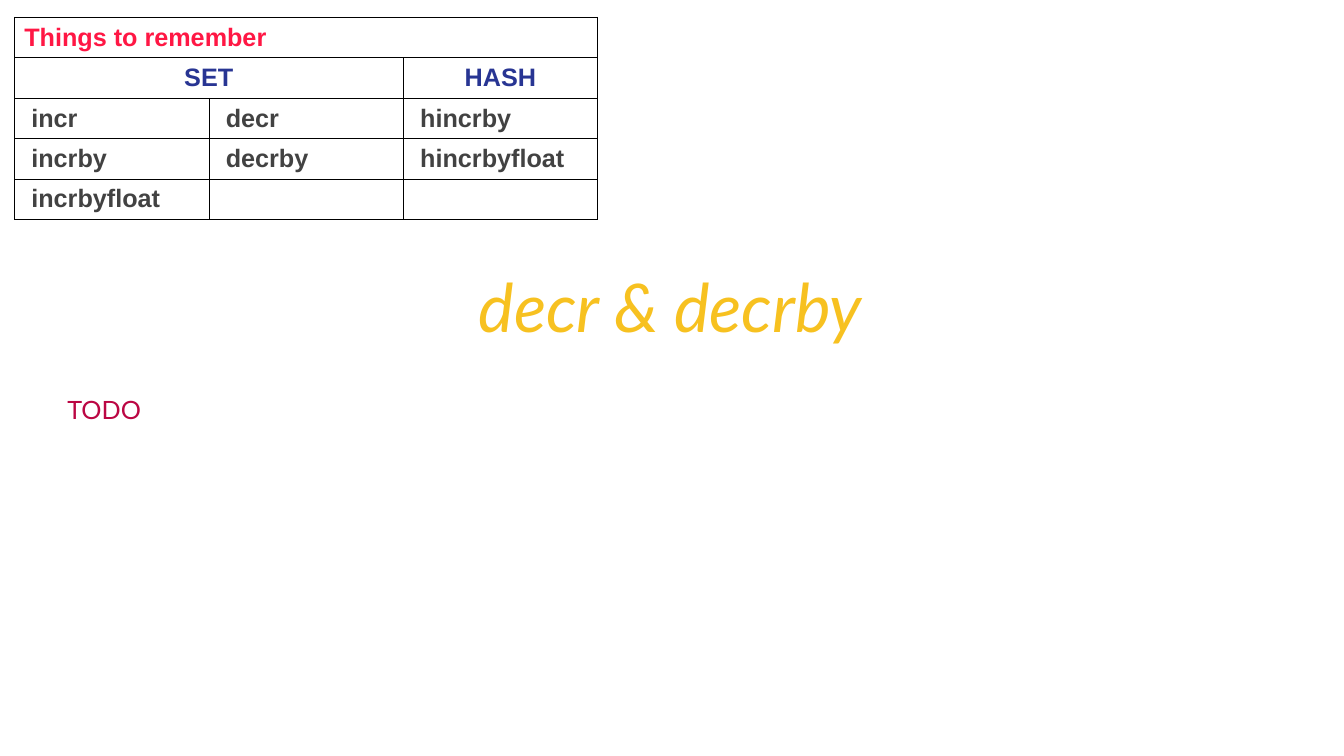
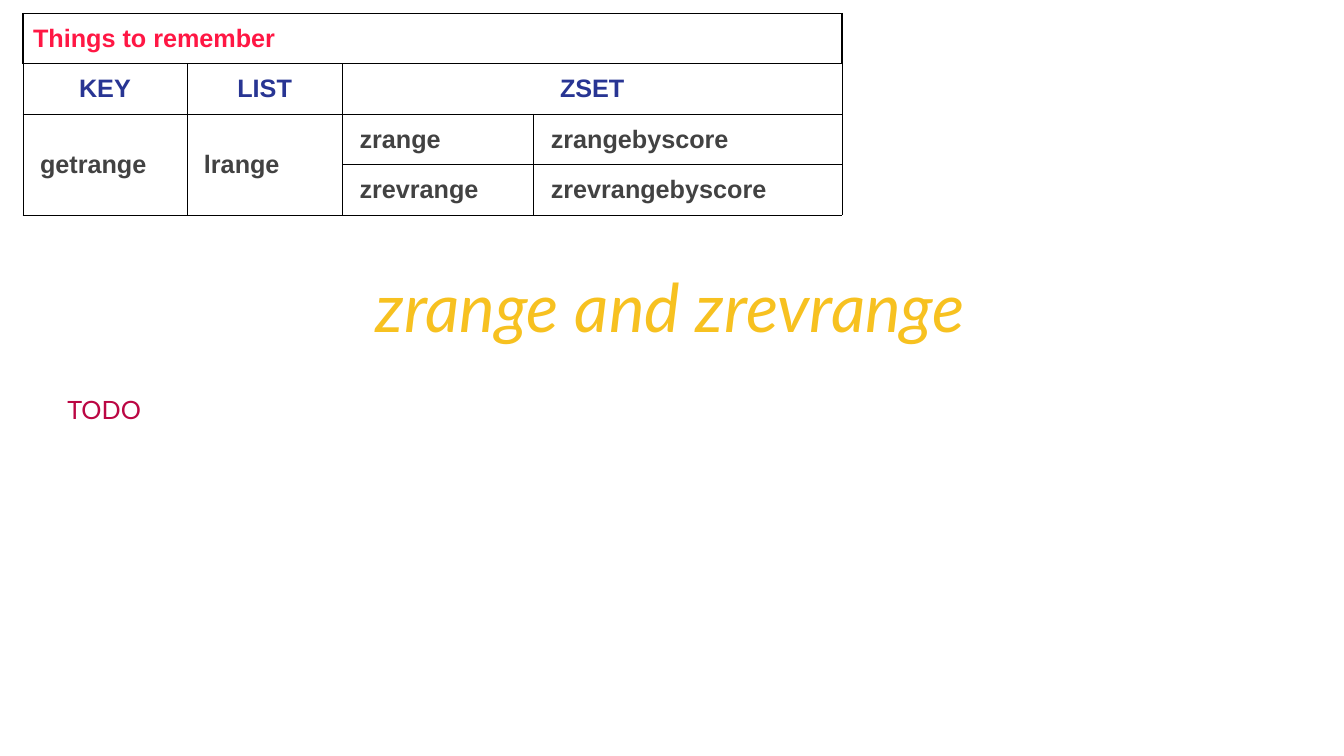
from lxml import etree
from pptx import Presentation
from pptx import util as u
from pptx.dml.color import RGBColor
from pptx.enum import text
from pptx.oxml import ns

GOLD = RGBColor(0xF7, 0xC1, 0x20)
CRIMSON = RGBColor(0xBB, 0x06, 0x43)
RED = RGBColor(0xFF, 0x17, 0x44)
NAVY = RGBColor(0x28, 0x35, 0x93)
GREY = RGBColor(0x42, 0x42, 0x42)
BLACK = RGBColor(0, 0, 0)

# Text styles: font attributes, colour and alignment
TITLE = (dict(name="Lato", size=u.Pt(48), italic=True), GOLD, text.PP_ALIGN.CENTER)
NOTE = (dict(name="Lato", size=u.Pt(18)), CRIMSON, text.PP_ALIGN.JUSTIFY)
CELL_FONT = dict(name="Arial", size=u.Pt(18), bold=True)
CAPTION = (CELL_FONT, RED, text.PP_ALIGN.LEFT)
HEADING = (CELL_FONT, NAVY, text.PP_ALIGN.CENTER)
COMMAND = (CELL_FONT, GREY, text.PP_ALIGN.LEFT)

COMMAND_INDENT = u.Cm(0.43)
HEAVY = 1

# Table data: merges are pairs of (row, column) corners
COUNTERS = dict(
    left=0.36, top=0.43, cols=[4.9] * 3, row_height=1.02, line=0.34, caption_line=0.34,
    rows=[
        ["Things to remember", "", ""],
        ["SET", "", "HASH"],
        ["incr", "decr", "hincrby"],
        ["incrby", "decrby", "hincrbyfloat"],
        ["incrbyfloat", "", ""],
    ],
    merges=[((0, 0), (0, 2)), ((1, 0), (1, 1))],
)
RANGES = dict(
    left=0.58, top=0.34, cols=[4.13, 3.92, 4.82, 7.77], row_height=1.27, line=0.62,
    caption_line=HEAVY,
    rows=[
        ["Things to remember", "", "", ""],
        ["KEY", "LIST", "ZSET", ""],
        ["getrange", "lrange", "zrange", "zrangebyscore"],
        ["", "", "zrevrange", "zrevrangebyscore"],
    ],
    merges=[((0, 0), (0, 3)), ((1, 2), (1, 3)), ((2, 0), (3, 0)), ((2, 1), (3, 1))],
)


def write(tf, content, style):
    fmt, color, align = style
    p = tf.paragraphs[0]
    p.alignment = align
    r = p.add_run()
    r.text = content
    for name, value in fmt.items():
        setattr(r.font, name, value)
    r.font.color.rgb = color


def add_text(s, content, style, left, top, width, height):
    tf = s.shapes.add_textbox(*map(u.Cm, (left, top, width, height))).text_frame
    tf.word_wrap = True
    tf.auto_size = text.MSO_AUTO_SIZE.SHAPE_TO_FIT_TEXT
    write(tf, content, style)


def set_borders(cell, widths):
    tc_pr = cell._tc.get_or_add_tcPr()
    for side in "LRTB":
        ln = etree.SubElement(tc_pr, ns.qn(f"a:ln{side}"), w=str(u.Pt(widths[side])))
        fill = etree.SubElement(ln, ns.qn("a:solidFill"))
        etree.SubElement(fill, ns.qn("a:srgbClr"), val=str(BLACK))


def add_table(s, left, top, cols, row_height, line, caption_line, rows, merges):
    height = row_height * len(rows)
    frame = s.shapes.add_table(len(rows), len(cols),
                               *map(u.Cm, (left, top, sum(cols), height)))
    table = frame.table
    table.first_row = table.horz_banding = False
    for col, width in zip(table.columns, cols):
        col.width = u.Cm(width)
    for row in table.rows:
        row.height = u.Cm(row_height)
    for start, end in merges:
        table.cell(*start).merge(table.cell(*end))

    for i, row in enumerate(rows):
        style = (CAPTION, HEADING, COMMAND)[min(i, 2)]
        for j, content in enumerate(row):
            cell = table.cell(i, j)
            cell.vertical_anchor = text.MSO_ANCHOR.MIDDLE
            # The caption cell and the edge below it take their own weight
            widths = dict.fromkeys("LRTB", caption_line if i == j == 0 else line)
            if i == 1:
                widths["T"] = caption_line
            set_borders(cell, widths)
            cell.fill.background()
            if style is COMMAND:
                cell.margin_left = COMMAND_INDENT
            if content:
                write(cell.text_frame, content, style)


def add_topic(prs, title, table):
    s = prs.slides.add_slide(prs.slide_layouts[6])
    add_text(s, title, TITLE, 4.65, 6.55, 24.49, 2.31)
    add_text(s, "TODO", NOTE, 1.45, 9.8, 30.71, 1.02)
    add_table(s, **table)


def main():
    prs = Presentation()
    prs.slide_width, prs.slide_height = u.Cm(33.87), u.Cm(19.05)
    add_topic(prs, "decr & decrby", COUNTERS)
    add_topic(prs, "zrange and zrevrange", RANGES)
    prs.save("out.pptx")


if __name__ == "__main__":
    main()
